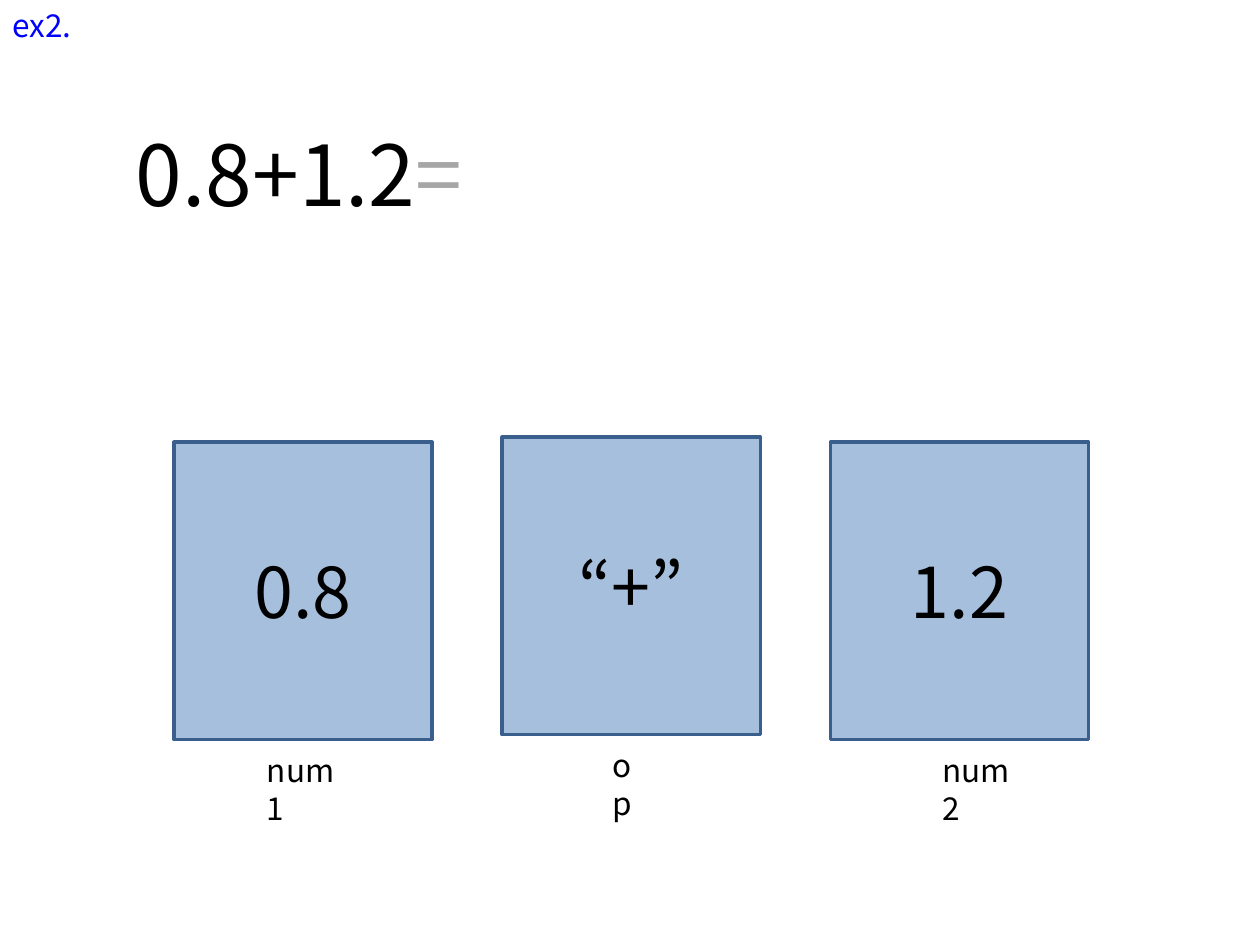
from dataclasses import dataclass

from lxml import etree
from pptx import Presentation
from pptx.dml.color import RGBColor
from pptx.enum.shapes import MSO_SHAPE
from pptx.enum.text import MSO_ANCHOR, MSO_AUTO_SIZE, PP_ALIGN
from pptx.oxml.ns import qn
from pptx.util import Inches, Pt

RECTANGLE = MSO_SHAPE.RECTANGLE
MIDDLE = MSO_ANCHOR.MIDDLE
GROW = MSO_AUTO_SIZE.SHAPE_TO_FIT_TEXT
CENTER = PP_ALIGN.CENTER
LEFT = PP_ALIGN.LEFT

SLIDE_WIDTH = Inches(10)
SLIDE_HEIGHT = Inches(7.5)


@dataclass(frozen=True)
class Theme:
    font: str = "Noto Sans CJK KR"
    ink: str = "000000"
    muted: str = "A6A6A6"
    label: str = "0000FF"
    card: str = "4F81BD"
    card_opacity: int = 50
    border: str = "3A5F8C"
    border_width: float = 2
    headline_size: int = 48
    value_size: int = 40
    caption_size: int = 18


@dataclass(frozen=True)
class Area:
    left: float
    top: float
    width: float
    height: float

    def lengths(self) -> tuple:
        return (
            int(SLIDE_WIDTH * self.left / 100),
            int(SLIDE_HEIGHT * self.top / 100),
            int(SLIDE_WIDTH * self.width / 100),
            int(SLIDE_HEIGHT * self.height / 100),
        )


@dataclass(frozen=True)
class Span:
    text: str
    size: int
    color: str


@dataclass(frozen=True)
class Variable:
    value: str
    name: str
    top: float
    caption_shift: float
    caption_width: float
    wrap: bool


THEME = Theme()
FIRST_LEFT = 13.8
PITCH = 26.05
CARD_WIDTH = 20.5
CARD_HEIGHT = 31.47
CAPTION_DROP = 32
CAPTION_HEIGHT = 5.33

VARIABLES = [
    Variable("0.8", "num1", 46.8, 6.4, 8.2, True),
    Variable("“+”", "op", 46.27, 7.8, 5, False),
    Variable("1.2", "num2", 46.8, 7.9, 8.2, True),
]


def write(frame, spans: list[Span], align=LEFT) -> None:
    para = frame.paragraphs[0]
    para.alignment = align
    for item in spans:
        span = para.add_run()
        span.text = item.text
        formats = {"name": THEME.font, "size": Pt(item.size)}
        for key, value in formats.items():
            setattr(span.font, key, value)
        span.font.color.rgb = RGBColor.from_string(item.color)
        east_asian = etree.SubElement(span.font._element, qn("a:ea"))
        east_asian.set("typeface", THEME.font)


def add_text(page, area: Area, spans: list[Span], wrap: bool = False) -> None:
    box = page.shapes.add_textbox(*area.lengths())
    formats = {"word_wrap": wrap, "auto_size": GROW}
    for key, value in formats.items():
        setattr(box.text_frame, key, value)
    write(box.text_frame, spans)


def add_card(page, area: Area, value: str) -> None:
    card = page.shapes.add_shape(RECTANGLE, *area.lengths())
    card.shadow.inherit = False
    card.fill.solid()
    card.fill.fore_color.rgb = RGBColor.from_string(THEME.card)
    color = card.fill._xPr.find(qn("a:solidFill"))[0]
    etree.SubElement(color, qn("a:alpha")).set("val", str(THEME.card_opacity * 1000))
    card.line.color.rgb = RGBColor.from_string(THEME.border)
    card.line.width = Pt(THEME.border_width)
    card.text_frame.vertical_anchor = MIDDLE
    write(card.text_frame, [Span(value, THEME.value_size, THEME.ink)], CENTER)


def add_variable(page, column: int, variable: Variable) -> None:
    left = FIRST_LEFT + column * PITCH
    add_card(page, Area(left, variable.top, CARD_WIDTH, CARD_HEIGHT), variable.value)
    caption = Area(
        left + variable.caption_shift,
        variable.top + CAPTION_DROP,
        variable.caption_width,
        CAPTION_HEIGHT,
    )
    name = Span(variable.name, THEME.caption_size, THEME.ink)
    add_text(page, caption, [name], variable.wrap)


def main() -> None:
    deck = Presentation()
    deck.slide_width = SLIDE_WIDTH
    deck.slide_height = SLIDE_HEIGHT
    page = deck.slides.add_slide(deck.slide_layouts[6])
    expression = [
        Span("0.8+1.2", THEME.headline_size, THEME.ink),
        Span("=", THEME.headline_size, THEME.muted),
    ]
    add_text(page, Area(9.8, 12.27, 29.3, 12.13), expression)
    for column, variable in enumerate(VARIABLES):
        add_variable(page, column, variable)
    example = Span("ex2.", THEME.caption_size, THEME.label)
    add_text(page, Area(0, 0, 7.4, CAPTION_HEIGHT), [example])
    deck.save("out.pptx")


if __name__ == "__main__":
    main()
